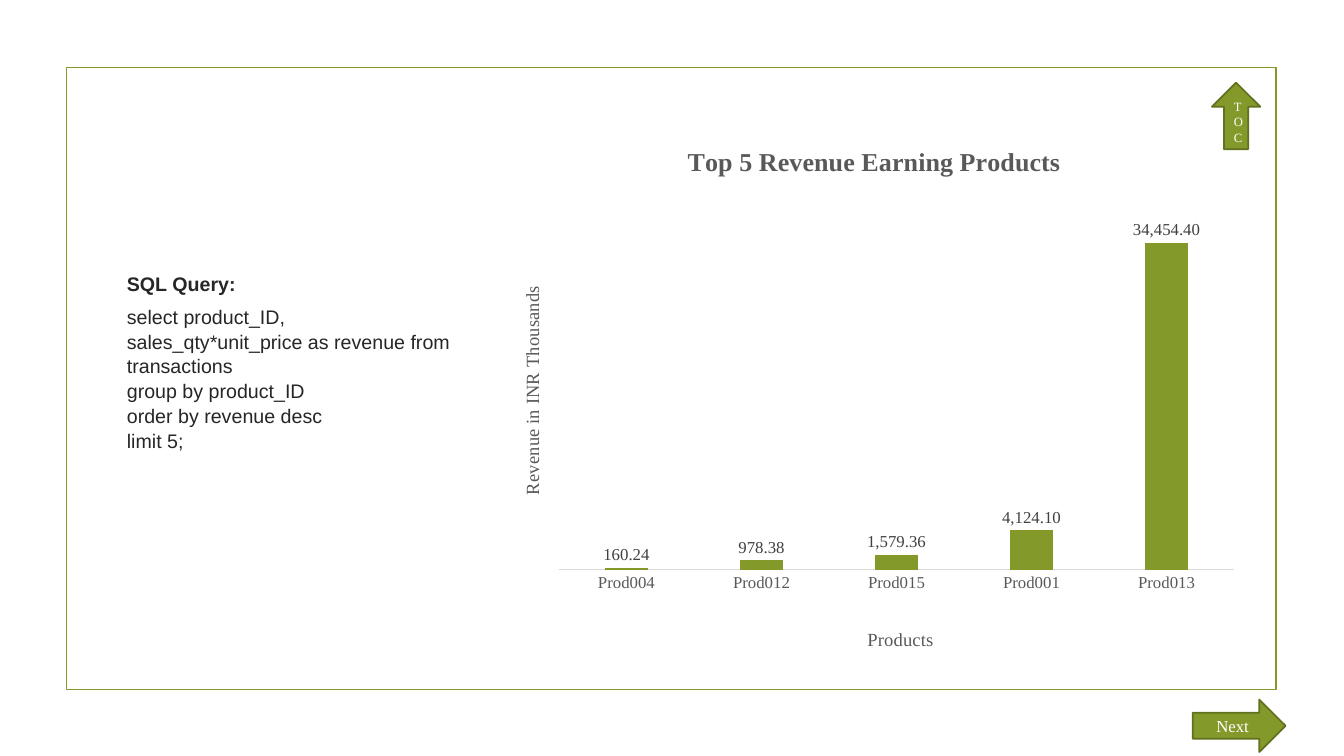
from dataclasses import dataclass

from lxml import etree
from pptx import Presentation
from pptx.chart.data import CategoryChartData
from pptx.dml.color import RGBColor
from pptx.enum.chart import XL_CHART_TYPE, XL_LABEL_POSITION, XL_TICK_MARK
from pptx.enum.shapes import MSO_SHAPE as SHAPE
from pptx.enum.text import MSO_ANCHOR, PP_ALIGN
from pptx.oxml.ns import qn
from pptx.util import Inches, Pt


@dataclass(frozen=True)
class Theme:
    green: str = "83992A"
    dark_green: str = "61711F"
    body: str = "262626"
    label: str = "404040"
    muted: str = "595959"
    rule: str = "D9D9D9"
    white: str = "FFFFFF"
    serif: str = "Times New Roman"
    sans: str = "Arial"
    title_size: float = 18.6
    axis_title_size: float = 13.3
    query_size: float = 14
    chart_size: float = 12
    toc_size: float = 9
    line: float = 1.25


T = Theme()

REVENUE = {
    "Prod004": 160.24,
    "Prod012": 978.38,
    "Prod015": 1579.36,
    "Prod001": 4124.10,
    "Prod013": 34454.40,
}
QUERY = [
    "select product_ID, sales_qty*unit_price as revenue from transactions",
    "group by product_ID",
    "order by revenue desc",
    "limit 5;",
]


def rgb(value):
    return RGBColor.from_string(value)


def set_font(font, name, size, color, bold=False):
    font.name, font.size, font.bold = name, Pt(size), bold
    font.color.rgb = rgb(color)


def add_outline(slide, kind, box, color, fill=None):
    sp = slide.shapes.add_shape(kind, *map(Inches, box))
    sp.shadow.inherit = False
    if fill:
        sp.fill.solid()
        sp.fill.fore_color.rgb = rgb(fill)
    else:
        sp.fill.background()
    sp.line.color.rgb = rgb(color)
    sp.line.width = Pt(T.line)
    return sp


def add_nav_arrow(slide, kind, box, text, size):
    sp = add_outline(slide, kind, box, T.dark_green, T.green)
    tf = sp.text_frame
    tf.word_wrap = True
    tf.vertical_anchor = MSO_ANCHOR.MIDDLE
    tf.text = text
    p = tf.paragraphs[0]
    p.alignment = PP_ALIGN.CENTER
    set_font(p.runs[0].font, T.serif, size, T.white)


def add_query(slide, box):
    tf = slide.shapes.add_textbox(*map(Inches, box)).text_frame
    tf.word_wrap = True
    tf.vertical_anchor = MSO_ANCHOR.MIDDLE
    for i, text in enumerate(["SQL Query:", *QUERY]):
        p = tf.add_paragraph() if i else tf.paragraphs[0]
        p.text = text
        p.line_spacing = 1.05
        p.space_after = Pt(0 if i else 6)
        set_font(p.runs[0].font, T.sans, T.query_size, T.body, bold=not i)


def place(element, index, **fractions):
    """Position a chart part by fractions of the chart area."""
    for old in element.findall(qn("c:layout")):
        element.remove(old)
    layout = etree.Element(qn("c:layout"))
    manual = etree.SubElement(layout, qn("c:manualLayout"))
    if "w" in fractions:
        etree.SubElement(manual, qn("c:layoutTarget"), val="inner")
    for key in ("x", "y"):
        etree.SubElement(manual, qn(f"c:{key}Mode"), val="edge")
    for key, value in fractions.items():
        etree.SubElement(manual, qn(f"c:{key}"), val=str(value))
    element.insert(index, layout)


def set_title(title, text, size, x, y, bold=False, rotation=0):
    tf = title.text_frame
    tf.text = text
    set_font(tf.paragraphs[0].runs[0].font, T.serif, size, T.muted, bold)
    body = title._element.find(".//" + qn("a:bodyPr"))
    body.set("rot", str(rotation * 60000))
    body.set("vert", "horz")
    place(title._element, 1, x=x, y=y)


def add_revenue_chart(slide, box):
    data = CategoryChartData(number_format="#,##0.00")
    data.categories = list(REVENUE)
    data.add_series("Series 1", list(REVENUE.values()))
    chart = slide.shapes.add_chart(
        XL_CHART_TYPE.COLUMN_CLUSTERED, *map(Inches, box), data).chart
    chart.has_legend = False
    set_font(chart.font, T.serif, T.chart_size, T.muted)

    # Columns and value labels
    plot = chart.plots[0]
    plot.gap_width = 219
    plot.vary_by_categories = False
    fill = plot.series[0].format.fill
    fill.solid()
    fill.fore_color.rgb = rgb(T.green)
    plot.has_data_labels = True
    labels = plot.data_labels
    labels.show_value = True
    labels.number_format = "#,##0.00"
    labels.number_format_is_linked = False
    labels.position = XL_LABEL_POSITION.OUTSIDE_END
    set_font(labels.font, T.serif, T.chart_size, T.label)

    # Axes
    products, revenue = chart.category_axis, chart.value_axis
    products.major_tick_mark = XL_TICK_MARK.NONE
    products.format.line.color.rgb = rgb(T.rule)
    products.format.line.width = Pt(0.75)
    set_font(products.tick_labels.font, T.serif, T.chart_size, T.muted)
    revenue.minimum_scale, revenue.maximum_scale = 0, 40000
    revenue.has_major_gridlines = False
    revenue.visible = False

    # Titles and plot position
    set_title(chart.chart_title, "Top 5 Revenue Earning Products",
              T.title_size, 0.25, 0.04, bold=True)
    set_title(products.axis_title, "Products", T.axis_title_size, 0.49, 0.95)
    set_title(revenue.axis_title, "Revenue in INR Thousands",
              T.axis_title_size, 0.03, 0.31, rotation=-90)
    plot_area = chart._chartSpace.find(".//" + qn("c:plotArea"))
    place(plot_area, 0, x=0.086, y=0.132, w=0.894, h=0.715)


def build_slide(prs):
    slide = prs.slides.add_slide(prs.slide_layouts[6])
    add_outline(slide, SHAPE.RECTANGLE, (0.66, 0.67, 12, 6.17), T.green)
    add_revenue_chart(slide, (4.9, 1.19, 7.49, 5.32))
    add_query(slide, (1.16, 1.46, 3.52, 4.25))
    add_nav_arrow(slide, SHAPE.UP_ARROW, (12.02, 0.82, 0.48, 0.66),
                  "TOC", T.toc_size)
    add_nav_arrow(slide, SHAPE.RIGHT_ARROW, (11.83, 6.94, 0.92, 0.52),
                  "Next", T.chart_size)


def main():
    prs = Presentation()
    prs.slide_width, prs.slide_height = Inches(13.33), Inches(7.5)
    build_slide(prs)
    prs.save("out.pptx")


if __name__ == "__main__":
    main()
